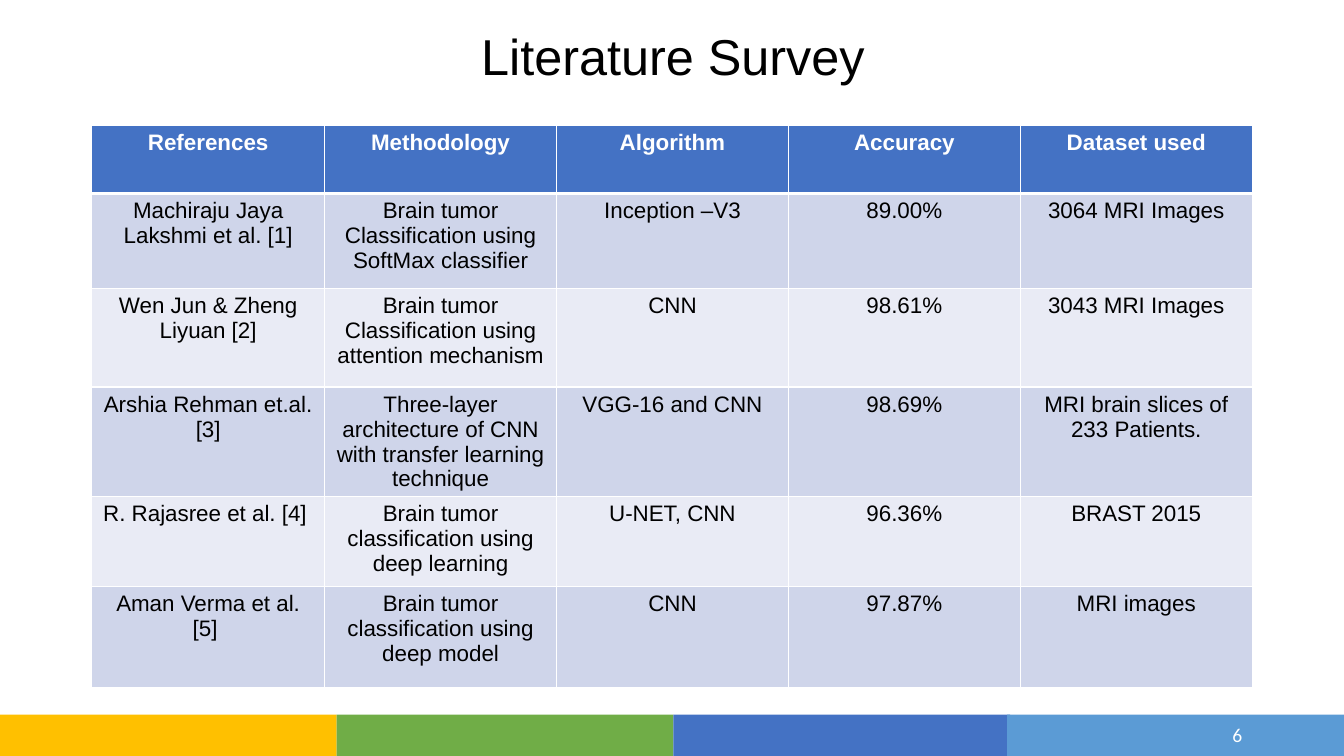
from pptx import Presentation
from pptx.dml.color import RGBColor
from pptx.enum.shapes import MSO_SHAPE
from pptx.enum.text import MSO_ANCHOR, PP_ALIGN
from pptx.oxml import parse_xml
from pptx.oxml.ns import nsdecls
from pptx.util import Inches, Pt

WHITE = RGBColor(0xFF, 0xFF, 0xFF)
BLACK = RGBColor(0x00, 0x00, 0x00)
AMBER = RGBColor(0xFF, 0xC0, 0x00)
GREEN = RGBColor(0x70, 0xAD, 0x47)
BLUE = RGBColor(0x44, 0x72, 0xC4)
SKY = RGBColor(0x5B, 0x9B, 0xD5)
BAND_DARK = RGBColor(0xCF, 0xD5, 0xEA)
BAND_LIGHT = RGBColor(0xE9, 0xEB, 0xF5)


def write(frame, text, size=16, font="Arial", color=BLACK, bold=False,
          align=PP_ALIGN.CENTER, spacing=None):
    frame.word_wrap = True
    para = frame.paragraphs[0]
    para.alignment = align
    para.line_spacing = spacing
    span = para.add_run()
    span.text = text
    span.font.size = Pt(size)
    span.font.name = font
    span.font.bold = bold
    span.font.color.rgb = color


def add_border(cell, side, points):
    cell._tc.get_or_add_tcPr().append(parse_xml(
        f'<a:{side} {nsdecls("a")} w="{Pt(points)}"><a:solidFill>'
        f'<a:srgbClr val="{WHITE}"/></a:solidFill></a:{side}>'))


deck = Presentation()
deck.slide_width = Inches(13.33)
deck.slide_height = Inches(7.5)
page = deck.slides.add_slide(deck.slide_layouts[5])

for left, color in zip([0, 3.34, 6.68, 9.99], [AMBER, GREEN, BLUE, SKY]):
    stripe = page.shapes.add_shape(
        MSO_SHAPE.RECTANGLE, Inches(left), Inches(7.09), Inches(3.34), Inches(0.41))
    stripe.shadow.inherit = False
    stripe.fill.solid()
    stripe.fill.fore_color.rgb = color
    stripe.line.fill.background()

title = page.shapes.title
title.left, title.top = Inches(0.92), Inches(0.06)
title.width, title.height = Inches(11.51), Inches(1.06)
title.text_frame.vertical_anchor = MSO_ANCHOR.MIDDLE
write(title.text_frame, "Literature Survey", size=36, spacing=0.9)

survey = [
    ["References", "Methodology", "Algorithm", "Accuracy", "Dataset used"],
    ["Machiraju Jaya Lakshmi et al. [1]",
     "Brain tumor Classification using SoftMax classifier",
     "Inception –V3", "89.00%", "3064 MRI Images"],
    ["Wen Jun & Zheng Liyuan [2]",
     "Brain tumor Classification using attention mechanism",
     "CNN", "98.61%", "3043 MRI Images"],
    ["Arshia Rehman et.al. [3]",
     "Three-layer architecture of CNN with transfer learning technique",
     "VGG-16 and CNN", "98.69%", "MRI brain slices of 233 Patients."],
    ["R. Rajasree et al. [4] ",
     "Brain tumor classification using deep learning",
     "U-NET, CNN", "96.36%", "BRAST 2015"],
    ["Aman Verma et al. [5] ",
     "Brain tumor classification using deep model",
     "CNN", "97.87%", "MRI images"],
]
row_heights = [0.68, 0.94, 0.98, 1.08, 0.89, 1]
column_widths = [2.31, 2.3, 2.3, 2.3, 2.3]

table = page.shapes.add_table(
    len(survey), len(column_widths), Inches(0.91), Inches(1.24),
    Inches(sum(column_widths)), Inches(sum(row_heights))).table
for column, width in zip(table.columns, column_widths):
    column.width = Inches(width)

for row_index, (texts, height) in enumerate(zip(survey, row_heights)):
    table.rows[row_index].height = Inches(height)
    header = row_index == 0
    band = BAND_DARK if row_index % 2 else BAND_LIGHT
    for column_index, text in enumerate(texts):
        cell = table.cell(row_index, column_index)
        write(cell.text_frame, text, color=WHITE if header else BLACK, bold=header)
        for side in ["lnL", "lnR", "lnT", "lnB"]:
            thick = (header and side == "lnB") or (row_index == 1 and side == "lnT")
            add_border(cell, side, 3 if thick else 1)
        cell.fill.solid()
        cell.fill.fore_color.rgb = BLUE if header else band

number_box = page.shapes.add_textbox(Inches(9.42), Inches(7.09), Inches(3), Inches(0.4))
number_box.text_frame.vertical_anchor = MSO_ANCHOR.MIDDLE
write(number_box.text_frame, "6", size=14, font="Calibri", color=WHITE,
      align=PP_ALIGN.RIGHT)

deck.save("out.pptx")
